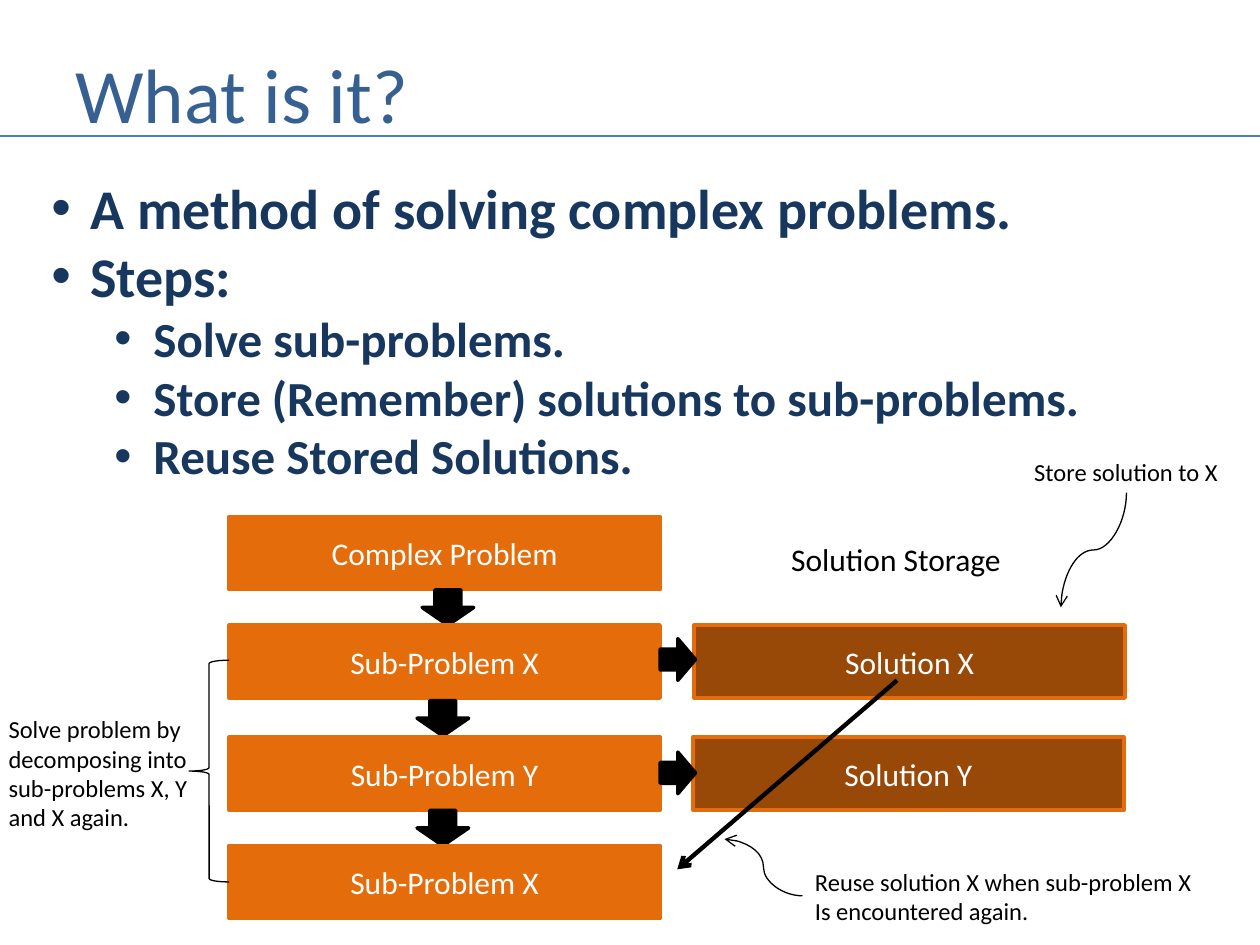
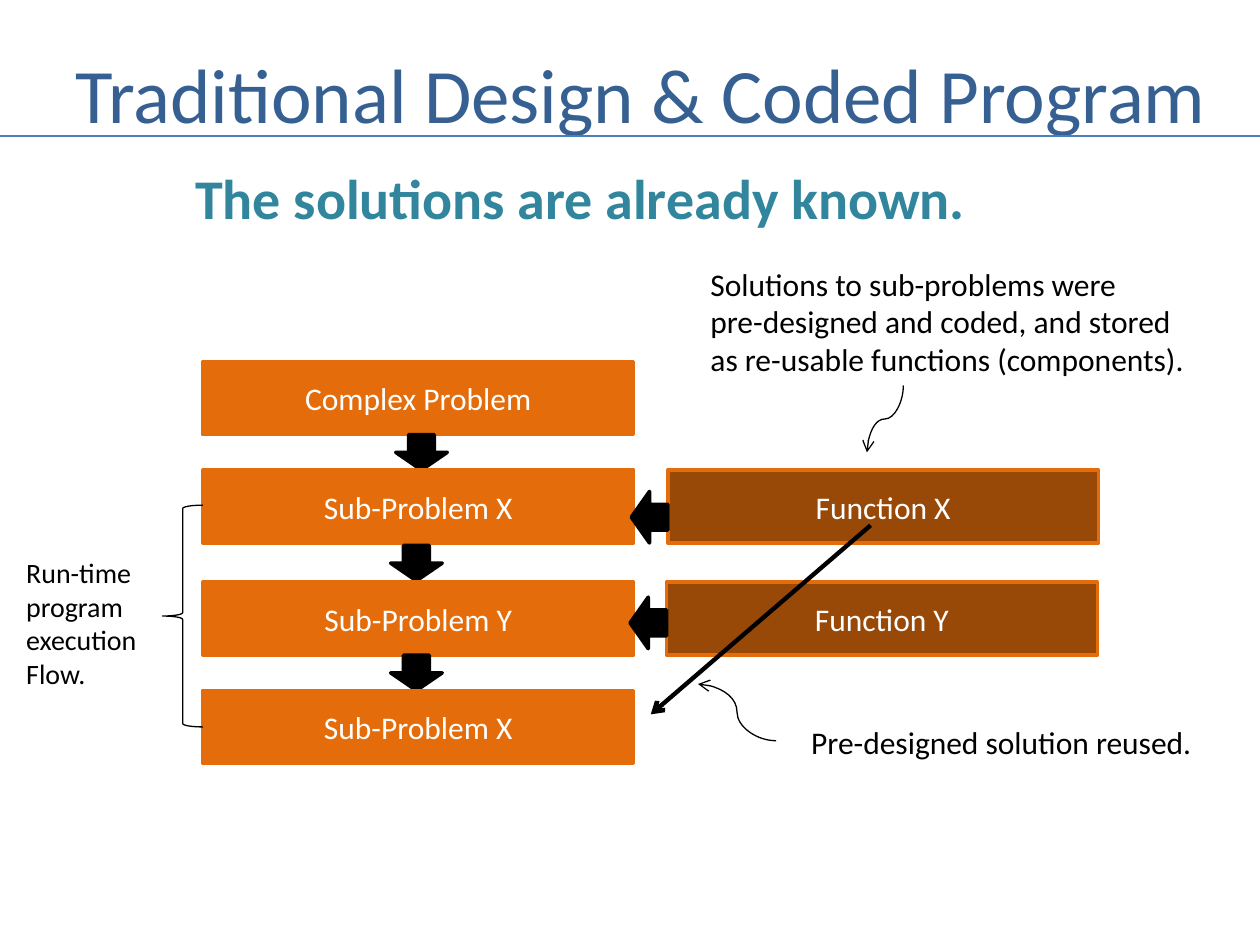
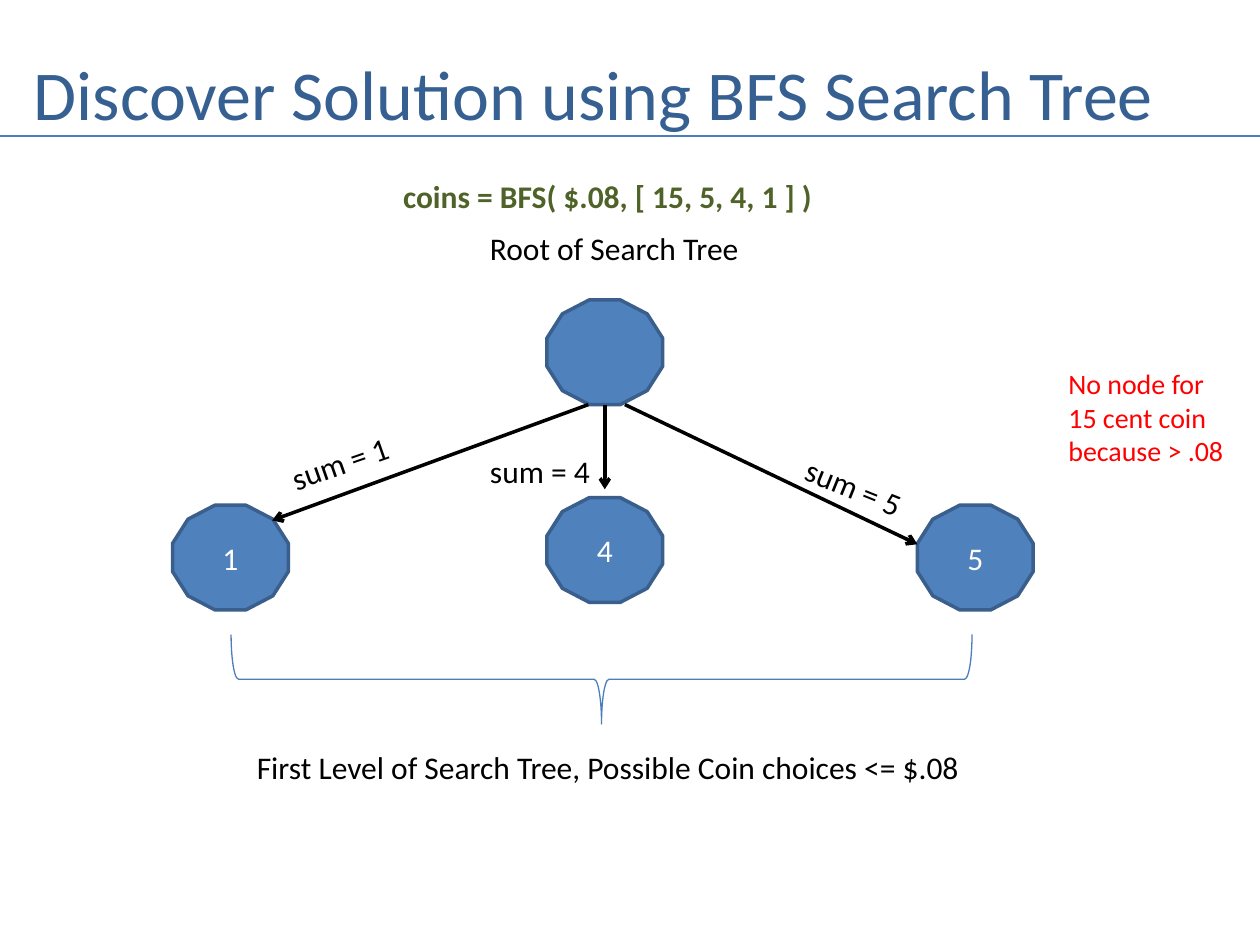
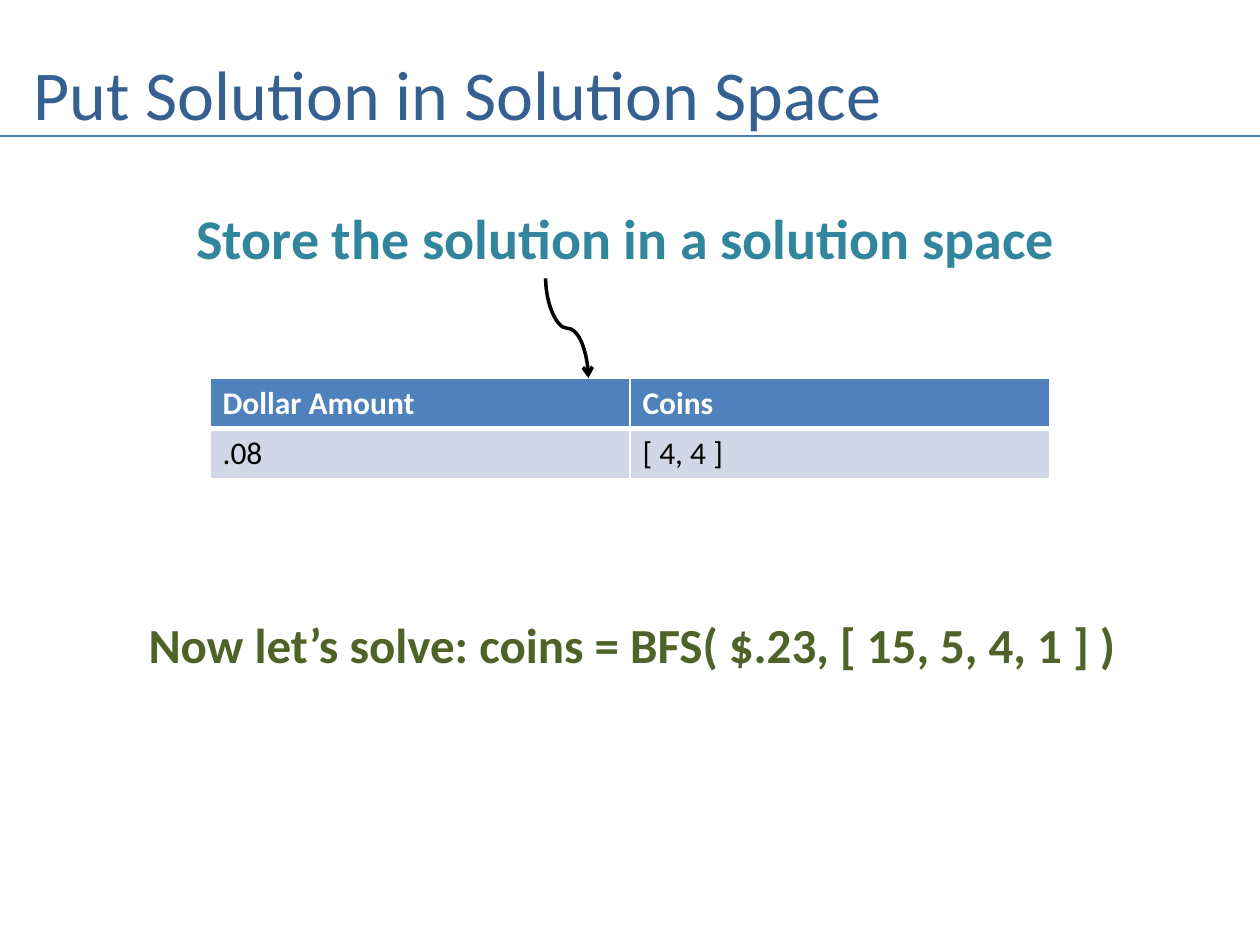
import pptx
import pptx.dml.color
import pptx.enum.shapes
import pptx.enum.text
import pptx.oxml
import pptx.oxml.ns
import pptx.util

Pt = pptx.util.Pt
SHAPE = pptx.enum.shapes.MSO_SHAPE
CONNECTOR = pptx.enum.shapes.MSO_CONNECTOR
ALIGN = pptx.enum.text.PP_ALIGN
ANCHOR = pptx.enum.text.MSO_ANCHOR

# Shared style
FONT = "Calibri"
BLACK, WHITE, RED = "000000", "FFFFFF", "FF0000"
TITLE_BLUE, RULE_BLUE, NAVY = "376092", "4B7EBC", "17375E"
ORANGE, BROWN = "E46C0A", "984807"
NODE_BLUE, NODE_EDGE, ROW_BLUE = "4F81BD", "3A5F8C", "D0D8E8"
TEAL, OLIVE = "31859C", "4F6228"
PAGE_WIDTH, PAGE_HEIGHT = 720, 540


def rgb(value):
    return pptx.dml.color.RGBColor.from_string(value)


def add_xml(parent, tag, **attributes):
    child = pptx.oxml.parse_xml(f"<{tag} {pptx.oxml.ns.nsdecls('a')}/>")
    for name, value in attributes.items():
        child.set(name, str(value))
    parent.append(child)
    return child


def style_font(font, size, color, bold=False):
    font.name = FONT
    font.size = Pt(size)
    font.bold = bold
    font.color.rgb = rgb(color)


def add_label(page, left, top, width, height, text, size=18, color=BLACK,
              bold=False, rotation=0):
    """Unwrapped text that fits its box."""
    label = page.shapes.add_textbox(Pt(left), Pt(top), Pt(width), Pt(height))
    label.rotation = rotation
    frame = label.text_frame
    frame.word_wrap = False
    frame.auto_size = pptx.enum.text.MSO_AUTO_SIZE.SHAPE_TO_FIT_TEXT
    frame.text = text
    for para in frame.paragraphs:
        style_font(para.font, size, color, bold)
    return label


def add_block(page, kind, left, top, width, height, fill, line, weight=2, text=""):
    block = page.shapes.add_shape(kind, Pt(left), Pt(top), Pt(width), Pt(height))
    block.shadow.inherit = False
    if fill:
        block.fill.solid()
        block.fill.fore_color.rgb = rgb(fill)
    else:
        block.fill.background()
    block.line.color.rgb = rgb(line)
    block.line.width = Pt(weight)
    if text:
        frame = block.text_frame
        frame.vertical_anchor = ANCHOR.MIDDLE
        frame.text = text
        para = frame.paragraphs[0]
        para.alignment = ALIGN.CENTER
        style_font(para.font, 18, WHITE)
    return block


def add_line(page, start, end, color=BLACK, weight=2, kind=CONNECTOR.STRAIGHT,
             arrow=True):
    line = page.shapes.add_connector(kind, *map(Pt, (*start, *end)))
    line.line.color.rgb = rgb(color)
    line.line.width = Pt(weight)
    properties = line.element.spPr
    if arrow:
        add_xml(properties.find(pptx.oxml.ns.qn("a:ln")), "a:tailEnd", type="arrow")
    add_xml(properties, "a:effectLst")
    return line


def add_falling_curve(page, start, end, weight=0.75):
    """Curve that leaves and arrives vertically: a sideways curve, turned."""
    (x1, y1), (x2, y2) = start, end
    middle_x, middle_y = (x1 + x2) / 2, (y1 + y2) / 2
    half_width, half_height = (y2 - y1) / 2, abs(x2 - x1) / 2
    side, turn = (-1, 90) if x2 < x1 else (1, 270)
    curve = add_line(page,
                     (middle_x + side * half_width, middle_y - half_height),
                     (middle_x - side * half_width, middle_y + half_height),
                     weight=weight, kind=CONNECTOR.CURVE)
    frame = curve.element.spPr.find(pptx.oxml.ns.qn("a:xfrm"))
    frame.set("rot", str(turn * 60000))


def add_page(deck, title, left, width, size):
    """Blank page with the title and the rule below it."""
    page = deck.slides.add_slide(deck.slide_layouts[6])
    box = page.shapes.add_textbox(Pt(left), Pt(21.6), Pt(width), Pt(62.6))
    frame = box.text_frame
    frame.word_wrap = True
    frame.vertical_anchor = ANCHOR.MIDDLE
    frame.text = title
    style_font(frame.paragraphs[0].font, size, TITLE_BLUE)
    add_line(page, (0, 77.8), (PAGE_WIDTH, 77.8), RULE_BLUE, 1.5, arrow=False)
    return page


def add_bullets(page, left, top, width, height, items):
    box = add_label(page, left, top, width, height,
                    "\n".join(text for level, text in items))
    for para, (level, text) in zip(box.text_frame.paragraphs, items):
        para.level = level
        properties = para._p.get_or_add_pPr()
        properties.set("marL", str(Pt(22.3 + 36 * level)))
        properties.set("indent", str(Pt(-22.3)))
        for old in list(properties):
            properties.remove(old)
        add_xml(properties, "a:buFont", typeface="Arial")
        add_xml(properties, "a:buChar", char="•")
        style_font(para.font, 32 - 4 * level, NAVY, True)


def add_decomposition(page, left, top, stored, side_kind, side_size, side_places):
    """Problem column, stored answers, and the arrows between them."""
    width, height = 246.2, 41.8
    rows = [0, 61.9, 126, 187.9]
    steps = ["Complex Problem", "Sub-Problem X", "Sub-Problem Y", "Sub-Problem X"]
    down_arrows = [(110.2, 41.8), (107.3, 105.1), (107.3, 167.8)]

    # Problem column, each arrow leading to the next step
    for index, (row, step) in enumerate(zip(rows, steps)):
        add_block(page, SHAPE.RECTANGLE, left, top + row, width, height,
                  ORANGE, ORANGE, text=step)
        if index < len(down_arrows):
            x, y = down_arrows[index]
            add_block(page, SHAPE.DOWN_ARROW, left + x, top + y, 29.5, 20.2,
                      BLACK, BLACK)

    # Stored answers and side arrows
    for x, row, name in zip((265.7, 265), rows[1:3], stored):
        add_block(page, SHAPE.RECTANGLE, left + x, top + row, width, height,
                  BROWN, ORANGE, text=name)
    for x, y in side_places:
        add_block(page, side_kind, left + x, top + y, *side_size, BLACK, BLACK)

    # Reuse arrow with its pointer, and the brace
    add_line(page, (left + 381.6, top + 93.6), (left + 256, top + 201.6), weight=2.5)
    add_line(page, (left + 327.6, top + 216.7), (left + 283, top + 184.3),
             weight=0.75, kind=CONNECTOR.CURVE)
    add_block(page, SHAPE.LEFT_BRACE, left - 23, top + 82.1, 23, 126.7,
              None, BLACK, 0.75)


def add_search_tree(page, left, top):
    """Tree placed from the corner of its root node."""
    width, height = 66.2, 59.8
    nodes = [("", 0, 0), ("1", -213.9, 117.3), ("4", 0, 113), ("5", 211.7, 117.3)]
    for text, x, y in nodes:
        add_block(page, SHAPE.DODECAGON, left + x, top + y, width, height,
                  NODE_BLUE, NODE_EDGE, text=text)
    edges = [(23.7, -157, 126), (33.1, 33.1, 108.2), (44.6, 211.7, 139.6)]
    for start_x, end_x, end_y in edges:
        add_line(page, (left + start_x, top + height), (left + end_x, top + end_y))
    sums = [("sum = 1", -154.1, 78.4, -19.2), ("sum = 4", -39.6, 83.5, 0),
            ("sum = 5", 139.7, 92.8, 22.1)]
    for text, x, y, rotation in sums:
        add_label(page, left + x, top + y, 73, 28.8, text, rotation=rotation)
    add_label(page, left - 39.6, top - 44, 158.4, 28.8, "Root of Search Tree")
    brace = add_block(page, SHAPE.LEFT_BRACE, left + 5.7, top + 5, 51.1, 423.4,
                      None, RULE_BLUE, 0.75)
    brace.rotation = 270


def add_solution_table(page, left, top, rows):
    column_width, row_height = 240, 28.8
    table = page.shapes.add_table(len(rows), len(rows[0]), Pt(left), Pt(top),
                                  Pt(column_width * len(rows[0])),
                                  Pt(row_height * len(rows))).table
    for row_index, row in enumerate(rows):
        header = row_index == 0
        for column_index, text in enumerate(row):
            cell = table.cell(row_index, column_index)
            cell.text = text
            style_font(cell.text_frame.paragraphs[0].font, 18,
                       WHITE if header else BLACK, header)
            # White borders, thicker below the header
            weights = {"L": 1, "R": 1, "T": 1 if header else 3, "B": 3 if header else 1}
            properties = cell._tc.get_or_add_tcPr()
            for side, weight in weights.items():
                border = add_xml(properties, f"a:ln{side}", w=Pt(weight))
                add_xml(add_xml(border, "a:solidFill"), "a:srgbClr", val=WHITE)
            cell.fill.solid()
            cell.fill.fore_color.rgb = rgb(NODE_BLUE if header else ROW_BLUE)


def build_method_page(deck):
    page = add_page(deck, "What is it?", 36, 455.8, 44)
    add_bullets(page, 22.3, 95.8, 608.4, 186.5, [
        (0, "A method of solving complex problems."),
        (0, "Steps:"),
        (1, "Solve sub-problems."),
        (1, "Store (Remember) solutions to sub-problems."),
        (1, "Reuse Stored Solutions."),
    ])
    add_decomposition(page, 131, 295.2, ["Solution X", "Solution Y"],
                      SHAPE.RIGHT_ARROW, (20.2, 23.8), [(246.2, 69.8), (246.2, 134.6)])
    # Remarks
    add_label(page, 445, 305.3, 136, 28.8, "Solution Storage")
    add_label(page, -2.2, 404.6, 118.8, 74.9,
              "Solve problem by\ndecomposing into\nsub-problems X, Y\nand X again.", 14)
    add_label(page, 583.9, 257.8, 120.2, 24.5, "Store solution to X", 14)
    add_falling_curve(page, (643.7, 281.5), (606.2, 347))
    add_label(page, 458.6, 491.8, 231.8, 41,
              "Reuse solution X when sub-problem X\nIs encountered again.", 14)


def build_traditional_page(deck):
    page = add_page(deck, "Traditional Design & Coded Program", 36, 668.2, 44)
    add_decomposition(page, 115.9, 206.6, ["Function X", "Function Y"],
                      SHAPE.LEFT_ARROW, (20.9, 29.5), [(244.8, 74.2), (244.1, 134.6)])
    # Remarks
    add_label(page, 398.9, 147.6, 285.8, 72.7,
              "Solutions to sub-problems were\npre-designed and coded, and stored\n"
              "as re-usable functions (components).")
    add_falling_curve(page, (516.2, 220.3), (495.4, 258.5))
    add_label(page, 456.5, 409.7, 234.7, 28.8, "Pre-designed solution reused.")
    add_label(page, 7.9, 313.9, 78.5, 85, "Run-time\nprogram\nexecution\nFlow.", 16)
    add_label(page, 104.4, 90, 458.6, 46, "The solutions are already known.",
              32, TEAL, True)


def build_search_page(deck):
    page = add_page(deck, "Discover Solution using BFS Search Tree", 12.2, 702, 40)
    add_search_tree(page, 312.5, 171.4)
    # Remarks
    add_label(page, 139.7, 424.1, 420.5, 28.8,
              "First Level of Search Tree, Possible Coin choices <= $.08")
    add_label(page, 223.2, 97.9, 257.8, 28.8, "coins = BFS( $.08, [ 15, 5, 4, 1 ] )",
              color=OLIVE, bold=True)
    add_label(page, 603.4, 205.9, 104.4, 65.5,
              "No node for\v15 cent coin\nbecause > .08", 16, RED)


def build_storage_page(deck):
    page = add_page(deck, "Put Solution in Solution Space", 12.2, 702, 40)
    add_solution_table(page, 120, 216, [["Dollar Amount", "Coins"], [".08", "[ 4, 4 ]"]])
    add_label(page, 105.1, 113, 510.5, 46, "Store the solution in a solution space",
              32, TEAL, True)
    add_label(page, 77.8, 347.8, 586.1, 41,
              "Now let’s solve: coins = BFS( $.23, [ 15, 5, 4, 1 ] )", 28, OLIVE, True)
    add_falling_curve(page, (311.8, 159.1), (336.2, 216), 2)


def main():
    deck = pptx.Presentation()
    deck.slide_width, deck.slide_height = Pt(PAGE_WIDTH), Pt(PAGE_HEIGHT)
    build_method_page(deck)
    build_traditional_page(deck)
    build_search_page(deck)
    build_storage_page(deck)
    deck.save("out.pptx")


if __name__ == "__main__":
    main()
